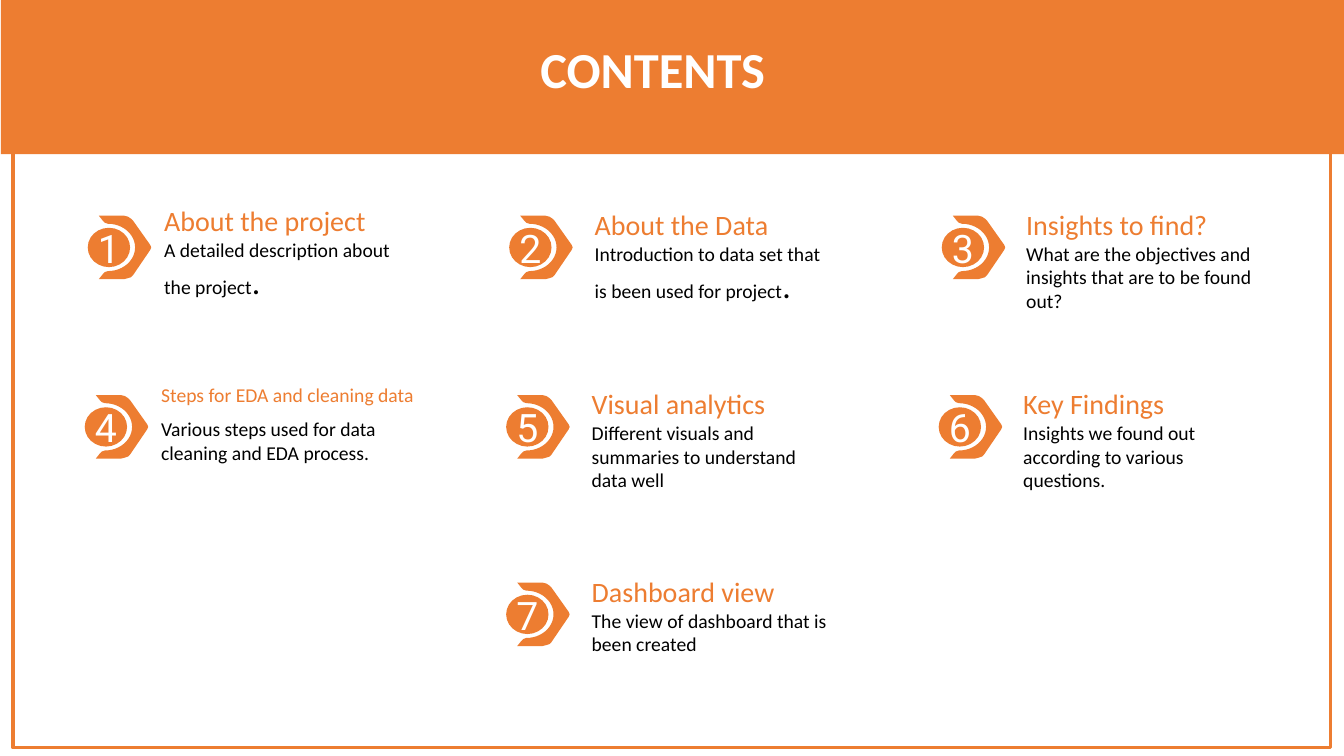
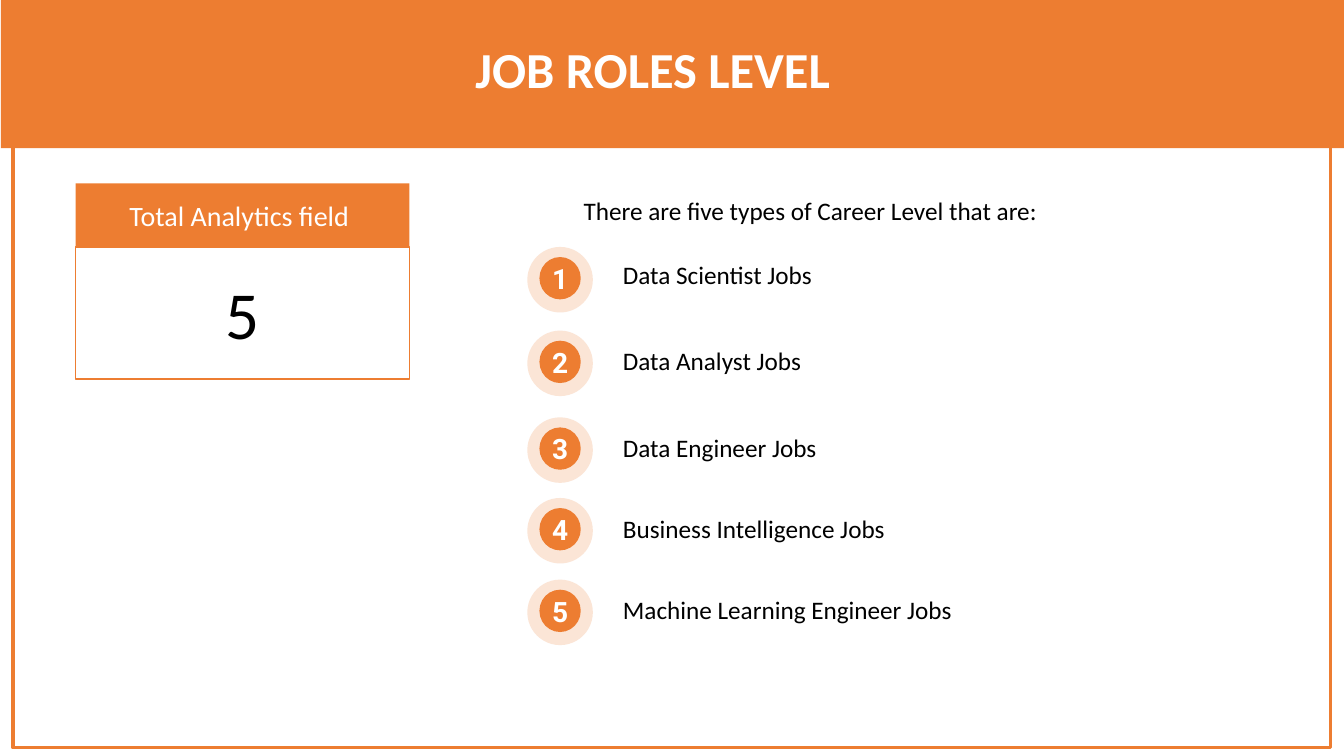
"""Build the contents slide and the job roles slide."""
from math import cos, pi, sin

from pptx import Presentation
from pptx.dml.color import RGBColor
from pptx.enum.shapes import MSO_SHAPE as SHAPE
from pptx.enum.text import MSO_ANCHOR as ANCHOR, PP_ALIGN as ALIGN
from pptx.util import Inches, Pt

COLORS = {"accent": "ED7D31", "tint": "FBE5D6", "white": "FFFFFF", "text": "000000"}
HEADING = {"name": "Calibri", "size": Pt(20), "color": "accent"}
SMALL_HEADING = {**HEADING, "size": Pt(14)}
BODY = {"name": "Calibri", "size": Pt(14), "color": "text"}
BIG_STOP = {**BODY, "size": Pt(24)}
LIST_TEXT = {**BODY, "size": Pt(18)}
TITLE = {"name": "Calibri", "size": Pt(36), "bold": True, "color": "white"}
CARD_LABEL = {**HEADING, "color": "white"}
CARD_VALUE = {**BODY, "size": Pt(48)}
BADGE_DIGIT = {"name": "Roboto", "size": Pt(28), "color": "white"}
STEP_DIGIT = {**BADGE_DIGIT, "size": Pt(20), "bold": True}


def add_block(slide, preset, box, fill, line_width=None):
    block = slide.shapes.add_shape(preset, *map(Inches, box))
    block.shadow.inherit = False
    block.fill.solid()
    block.fill.fore_color.rgb = RGBColor.from_string(COLORS[fill])
    if line_width:
        block.line.color.rgb = RGBColor.from_string(COLORS["accent"])
        block.line.width = Pt(line_width)
    else:
        block.line.fill.background()
    return block


def write(holder, runs, align=ALIGN.LEFT, anchor=ANCHOR.TOP, wrap=True):
    frame = holder.text_frame
    frame.word_wrap = wrap
    frame.vertical_anchor = anchor
    paragraph = frame.paragraphs[0]
    paragraph.alignment = align
    for text, style in runs:
        run = paragraph.add_run()
        run.text = text
        for key, value in style.items():
            if key == "color":
                run.font.color.rgb = RGBColor.from_string(COLORS[value])
            else:
                setattr(run.font, key, value)


prs = Presentation()
prs.slide_width, prs.slide_height = Inches(13.33), Inches(7.5)

slides = []
for title, band_height in (("CONTENTS", 1.57), ("JOB ROLES LEVEL", 1.51)):
    slide = prs.slides.add_slide(prs.slide_layouts[6])
    add_block(slide, SHAPE.RECTANGLE, (0.13, 0.09, 13.07, 7.33), "white", 2.25)
    add_block(slide, SHAPE.RECTANGLE, (0.01, -0.04, 13.33, band_height), "accent")
    title_box = slide.shapes.add_textbox(*map(Inches, (3.01, 0.33, 6.93, 0.71)))
    write(title_box, [(title, TITLE)], ALIGN.CENTER)
    slides.append(slide)
contents, job_roles = slides

topics = [
    (0, 0, "About the project", HEADING, "A detailed description about the project", "."),
    (0, 1, "About the Data", HEADING,
     "Introduction to data set that is been used for project", "."),
    (0, 2, "Insights to find?", HEADING,
     "What are the objectives and insights that are to be found out?", ""),
    (1, 0, "Steps for EDA and cleaning data", SMALL_HEADING,
     "Various steps used for data cleaning and EDA process.", ""),
    (1, 1, "Visual analytics", HEADING,
     "Different visuals and summaries to understand data well", ""),
    (1, 2, "Key Findings", HEADING,
     "Insights we found out according to various questions.", ""),
    (2, 1, "Dashboard view", HEADING, "The view of dashboard that is been created", ""),
]
row_tops = (2.14, 3.92, 5.78)
row_shifts = (0, -0.03, -0.03)
badge_lefts = (0.87, 5.05, 9.34)
topic_lefts = (1.53, 5.8, 10.08)
heading_lifts = (0.17, 0.13, 0.13)

arc_angles = [pi * step / 24 - pi / 2 for step in range(25)]
arrow_outline = (
    [(0, 0), (0.25, 0), (0.29, 0.01), (0.32, 0.03), (0.34, 0.05), (0.51, 0.29),
     (0.52, 0.315), (0.51, 0.34), (0.34, 0.59), (0.32, 0.61), (0.29, 0.62),
     (0.25, 0.63), (0, 0.63), (0.04, 0.58), (0.06, 0.56)]
    + [(0.09 + 0.27 * cos(angle), 0.315 - 0.235 * sin(angle)) for angle in arc_angles]
    + [(0.06, 0.07), (0.04, 0.05)]
)

for number, (row, column, heading, heading_style, body, stop) in enumerate(topics, 1):
    top = row_tops[row]
    badge_left = badge_lefts[column] + row_shifts[row]
    topic_left = topic_lefts[column] + row_shifts[row]
    heading_top = top - heading_lifts[column]

    points = [(Inches(badge_left + 0.11 + x), Inches(top + y)) for x, y in arrow_outline]
    builder = contents.shapes.build_freeform(*points[0])
    builder.add_line_segments(points[1:])
    arrow = builder.convert_to_shape()
    arrow.shadow.inherit = False
    arrow.fill.solid()
    arrow.fill.fore_color.rgb = RGBColor.from_string(COLORS["accent"])
    arrow.line.fill.background()

    badge = add_block(contents, SHAPE.OVAL, (badge_left, top + 0.12, 0.42, 0.39), "accent")
    write(badge, [(str(number), BADGE_DIGIT)], ALIGN.CENTER, ANCHOR.MIDDLE, False)

    heading_box = contents.shapes.add_textbox(
        *map(Inches, (topic_left, heading_top, 3.06, 0.44)))
    write(heading_box, [(heading, heading_style)])
    body_box = contents.shapes.add_textbox(
        *map(Inches, (topic_left, heading_top + 0.34, 2.59, 0.81)))
    write(body_box, [(body, BODY)] + ([(stop, BIG_STOP)] if stop else []))

card = [
    (2.45, 1.31, "white", 1, "5", CARD_VALUE),
    (1.82, 0.63, "accent", None, "Total Analytics field ", CARD_LABEL),
]
for top, height, fill, line_width, text, style in card:
    part = add_block(job_roles, SHAPE.RECTANGLE, (0.75, top, 3.31, height), fill, line_width)
    write(part, [(text, style)], ALIGN.CENTER, ANCHOR.MIDDLE)

intro = job_roles.shapes.add_textbox(*map(Inches, (5.69, 1.89, 5.13, 0.4)))
write(intro, [("There are five types of Career Level that are:", LIST_TEXT)])

jobs = [
    (2.45, 2.52, "Data Scientist Jobs"),
    (3.28, 3.38, "Data Analyst Jobs"),
    (4.14, 4.24, "Data Engineer Jobs"),
    (4.94, 5.04, "Business Intelligence Jobs"),
    (5.75, 5.85, "Machine Learning Engineer Jobs"),
]
for number, (ring_top, job_top, job) in enumerate(jobs, 1):
    add_block(job_roles, SHAPE.OVAL, (5.23, ring_top, 0.65, 0.65), "tint")
    disc = add_block(job_roles, SHAPE.OVAL, (5.35, ring_top + 0.1, 0.41, 0.42), "accent")
    write(disc, [(str(number), STEP_DIGIT)], ALIGN.CENTER, ANCHOR.MIDDLE, False)
    job_box = job_roles.shapes.add_textbox(*map(Inches, (6.08, job_top, 4.08, 0.4)))
    write(job_box, [(job, LIST_TEXT)])

prs.save("out.pptx")
